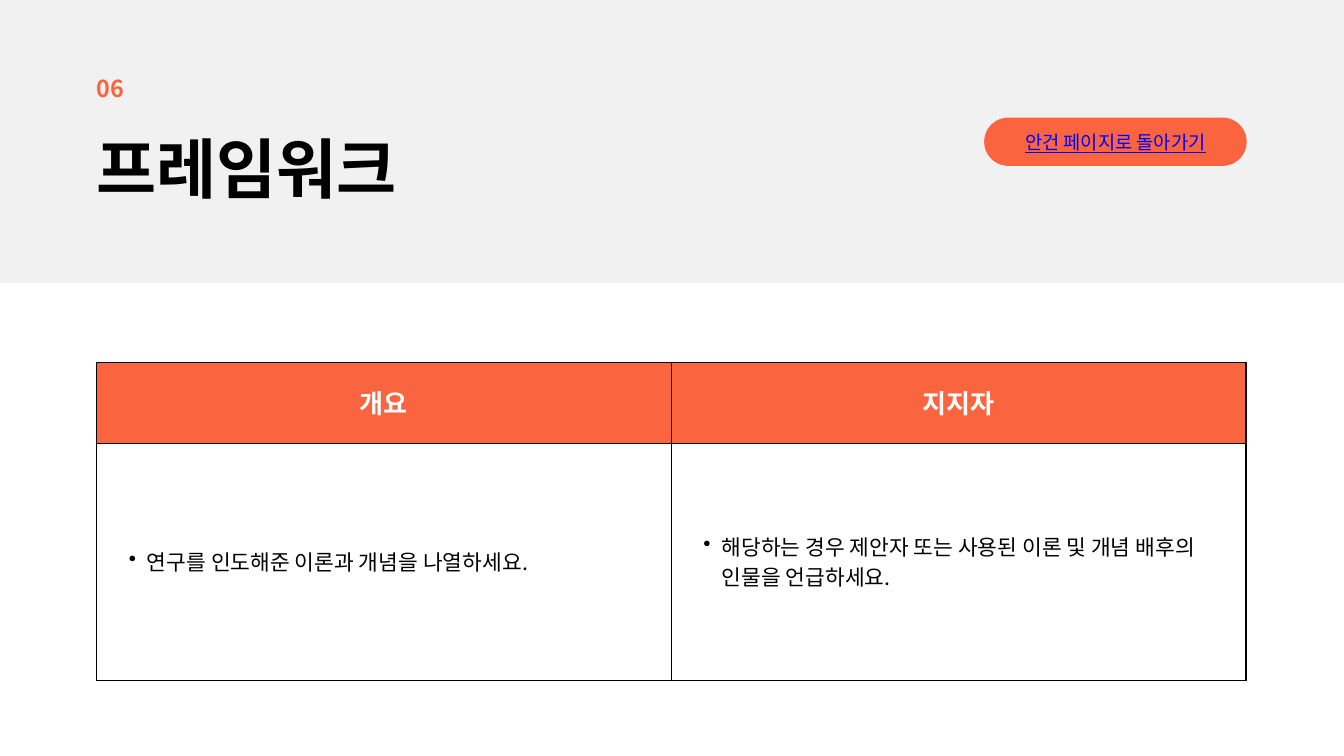
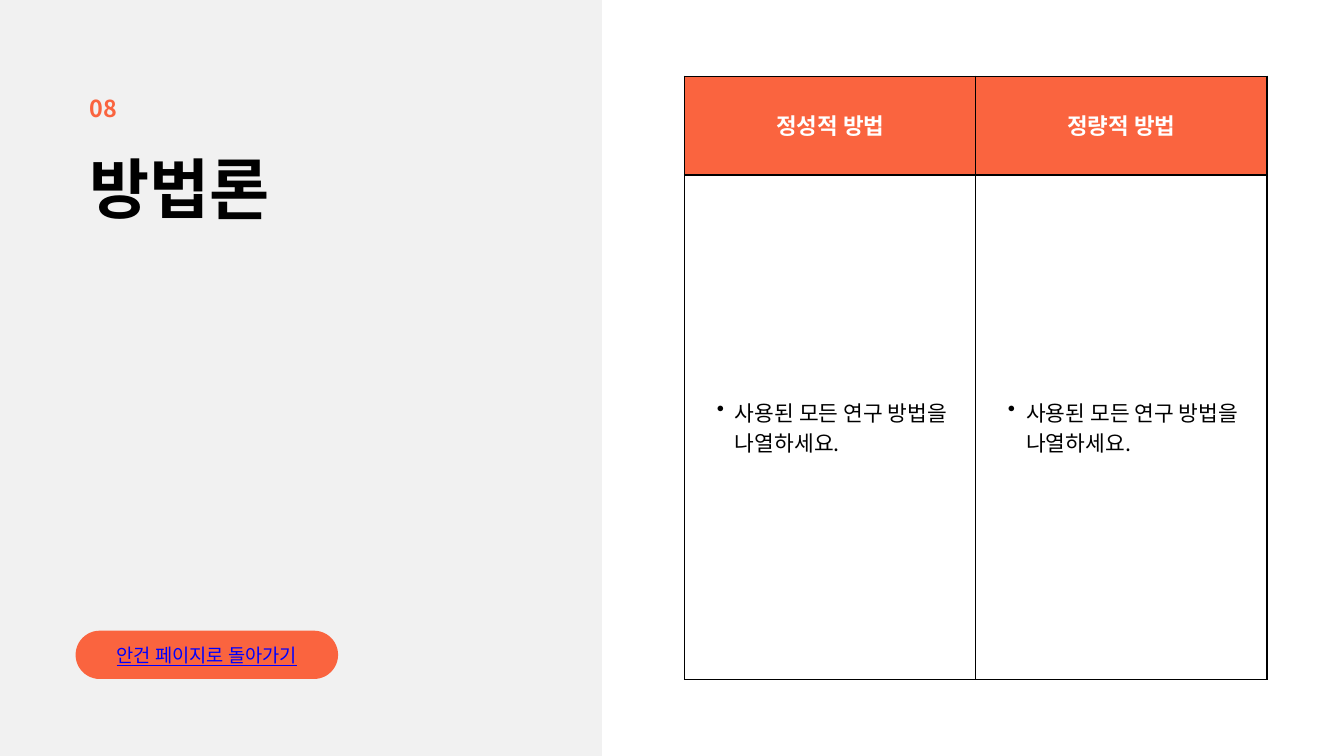
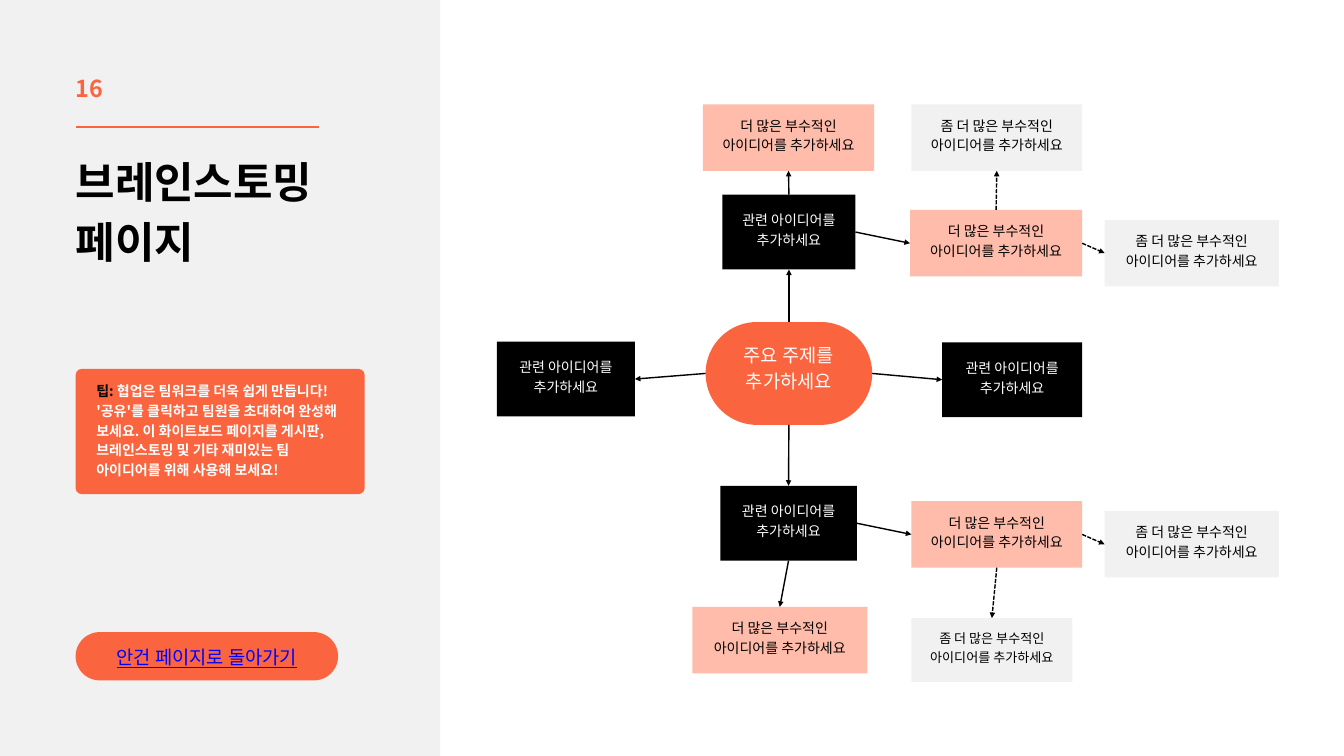
from lxml import etree
from pptx import Presentation
from pptx.dml.color import RGBColor
from pptx.enum.dml import MSO_LINE
from pptx.enum.shapes import MSO_CONNECTOR, MSO_SHAPE
from pptx.enum.text import MSO_ANCHOR, MSO_AUTO_SIZE, PP_ALIGN
from pptx.oxml.ns import qn
from pptx.util import Emu, Pt

RECT, ROUND = MSO_SHAPE.RECTANGLE, MSO_SHAPE.ROUNDED_RECTANGLE
WIRE = MSO_CONNECTOR.STRAIGHT
DASH, SOLID = MSO_LINE.SQUARE_DOT, MSO_LINE.SOLID
TOP, MID = MSO_ANCHOR.TOP, MSO_ANCHOR.MIDDLE
LEFT, MIDST = PP_ALIGN.LEFT, PP_ALIGN.CENTER
FIXED = MSO_AUTO_SIZE.NONE

BLACK = RGBColor(0x00, 0x00, 0x00)
WHITE = RGBColor(0xFF, 0xFF, 0xFF)
GRAY = RGBColor(0xF1, 0xF1, 0xF1)
CORAL = RGBColor(0xFA, 0x64, 0x3F)
PINK = RGBColor(0xFF, 0xBC, 0xAB)
BLUE = RGBColor(0x00, 0x00, 0xFF)

FACE = "Noto Sans CJK KR"
PX = Emu(9525)
WIDE, HIGH = 1920, 1080


def write(frame, lines, ink, size, lead, align=LEFT, anchor=TOP, pad=(0, 0, 0, 0), **style):
    sides = ("margin_left", "margin_top", "margin_right", "margin_bottom")
    look = {"word_wrap": True, "auto_size": FIXED, "vertical_anchor": anchor}
    look.update({side: gap * PX for side, gap in zip(sides, pad)})
    for key, value in look.items():
        setattr(frame, key, value)
    for row, line in enumerate(lines):
        para = frame.add_paragraph() if row else frame.paragraphs[0]
        para.alignment = align
        para.line_spacing = Pt(lead)
        for part in [line] if isinstance(line, str) else line:
            run = para.add_run()
            run.text = part
            for key, value in {"name": FACE, "size": Pt(size), **style}.items():
                setattr(run.font, key, value)
            run.font.color.rgb = ink
            etree.SubElement(run.font._element, qn("a:ea"), typeface=FACE)


def block(slide, kind, spot, fill, bend=0.5):
    shape = slide.shapes.add_shape(kind, *(n * PX for n in spot))
    shape.shadow.inherit = False
    shape.fill.solid()
    shape.fill.fore_color.rgb = fill
    shape.line.fill.background()
    if kind == ROUND:
        shape.adjustments[0] = bend
    return shape


deck = Presentation()
deck.slide_width, deck.slide_height = WIDE * PX, HIGH * PX

pages = [
    ("06", ["프레임워크"], 70, 84, (WIDE, 404), (138, 110), (138, 183, 651, 111), (1406, 168)),
    ("08", ["방법론"], 70, 84, (860, HIGH), (128, 138), (128, 212, 679, 111), (108, 901)),
    ("16", ["브레인스토밍", "페이지"], 46, 64.4, (629, HIGH), (108, 110), (108, 210, 348, 165), (108, 903)),
]
slides = []
for mark, lines, size, lead, band, spot, area, pill in pages:
    slide = deck.slides.add_slide(deck.slide_layouts[5])
    slides.append(slide)
    title = slide.shapes.title
    for key, value in zip(("left", "top", "width", "height"), area):
        setattr(title, key, value * PX)
    write(title.text_frame, lines, BLACK, size, lead, bold=True)
    back = block(slide, RECT, (0, 0, *band), GRAY)
    title.element.addprevious(back.element)
    label = slide.shapes.add_textbox(*(n * PX for n in (*spot, 92, 38)))
    write(label.text_frame, [mark], CORAL, 25, 27.5, bold=True)
    button = block(slide, ROUND, (*pill, 375, 69), CORAL)
    write(button.text_frame, ["안건 페이지로 돌아가기"], BLUE, 20, 28, MIDST, MID,
          (0, 0, 0, 4), underline=True)

tables = [
    (slides[0], (138, 518), 821, (116, 338), 28, 39.2,
     ("개요", "지지자"),
     ("연구를 인도해준 이론과 개념을 나열하세요.",
      "해당하는 경우 제안자 또는 사용된 이론 및 개념 배후의 인물을 언급하세요.")),
    (slides[1], (978, 109), 416, (141, 721), 24, 33.6,
     ("정성적 방법", "정량적 방법"),
     ("사용된 모든 연구 방법을 나열하세요.",) * 2),
]
for slide, spot, width, rows, size, lead, heads, notes in tables:
    area = (*spot, 2 * width, sum(rows))
    grid = slide.shapes.add_table(2, 2, *(n * PX for n in area)).table
    grid.first_row = grid.horz_banding = False
    for row, height in enumerate(rows):
        grid.rows[row].height = height * PX
        for col in range(2):
            grid.columns[col].width = width * PX
            cell = grid.cell(row, col)
            frame = cell.text_frame
            if row:
                write(frame, [notes[col]], BLACK, 23, 32.2, bold=False)
                para = frame.paragraphs[0]
                para.level = 1
                props = para._p.get_or_add_pPr()
                props.set("marL", str(52 * PX))
                props.set("indent", str(-26 * PX))
                etree.SubElement(props, qn("a:buChar"), char="•")
                cell.fill.background()
            else:
                write(frame, [heads[col]], WHITE, size, lead, MIDST, bold=True)
                cell.fill.solid()
                cell.fill.fore_color.rgb = CORAL
            cell.vertical_anchor = MID
            for side in ("left", "top", "right", "bottom"):
                setattr(cell, "margin_" + side, 20 * PX)
            props = cell._tc.get_or_add_tcPr()
            for place, side in enumerate("LRTB"):
                edge = etree.Element(qn("a:ln" + side), w=str(Pt(1.5)))
                paint = etree.SubElement(edge, qn("a:solidFill"))
                etree.SubElement(paint, qn("a:srgbClr"), val=str(BLACK))
                props.insert(place, edge)

board = slides[2]
tip = block(board, ROUND, (108, 527, 413, 179), CORAL, 0.05)
write(tip.text_frame, [
    ("팁: ", "협업은 팀워크를 더욱 쉽게 만듭니다!"),
    "'공유'를 클릭하고 팀원을 초대하여 완성해",
    "보세요. 이 화이트보드 페이지를 게시판,",
    "브레인스토밍 및 기타 재미있는 팀",
    "아이디어를 위해 사용해 보세요!",
], WHITE, 15, 21, LEFT, MID, (27, 0, 0, 7), bold=True)
tip.text_frame.paragraphs[0].runs[0].font.color.rgb = BLACK

kinds = {
    "main": (ROUND, CORAL, WHITE, ["주요 주제를", "추가하세요"], 20),
    "idea": (RECT, BLACK, WHITE, ["관련 아이디어를", "추가하세요"], 10),
    "more": (RECT, PINK, BLACK, ["더 많은 부수적인", "아이디어를 추가하세요"], 10),
    "extra": (RECT, GRAY, BLACK, ["좀 더 많은 부수적인", "아이디어를 추가하세요"], 10),
}
nodes = [
    ("hub", "main", (1008, 460, 238, 147), 20),
    ("west", "idea", (710, 488, 197, 107), 15),
    ("north", "idea", (1032, 278, 190, 107), 15),
    ("south", "idea", (1029, 694, 195, 107), 15),
    ("east", "idea", (1346, 489, 200, 107), 15),
    ("upper", "more", (1004, 149, 245, 95), 15),
    ("high", "more", (1300, 300, 246, 95), 15),
    ("low", "more", (1302, 716, 244, 95), 15),
    ("under", "more", (989, 867, 250, 95), 15),
    ("high top", "extra", (1302, 149, 244, 95), 15),
    ("high side", "extra", (1578, 314, 249, 95), 15),
    ("low side", "extra", (1578, 730, 249, 95), 15),
    ("low end", "extra", (1302, 883, 230, 91), 14),
]
cards = {}
for name, kind, spot, size in nodes:
    form, fill, ink, lines, lift = kinds[kind]
    cards[name] = block(board, form, spot, fill)
    write(cards[name].text_frame, lines, ink, size, size * 1.4, MIDST, MID, (0, 0, 0, lift))

UP, BACK, DOWN, NEXT = range(4)
links = [
    ("hub", BACK, "west", SOLID),
    ("hub", UP, "north", SOLID),
    ("hub", DOWN, "south", SOLID),
    ("hub", NEXT, "east", SOLID),
    ("north", UP, "upper", SOLID),
    ("north", NEXT, "high", SOLID),
    ("south", NEXT, "low", SOLID),
    ("south", DOWN, "under", SOLID),
    ("high", UP, "high top", DASH),
    ("high", NEXT, "high side", DASH),
    ("low", NEXT, "low side", DASH),
    ("low", DOWN, "low end", DASH),
]
rule = board.shapes.add_connector(WIRE, *(n * PX for n in (108, 181, 456, 181)))
wires = [(rule, CORAL, 2, SOLID)]
for start, site, end, dash in links:
    wire = board.shapes.add_connector(WIRE, 0, 0, 0, 0)
    wire.begin_connect(cards[start], site)
    wire.end_connect(cards[end], (site + 2) % 4)
    wires.append((wire, BLACK, 1.5, dash))
for wire, ink, width, dash in wires:
    wire.line.color.rgb = ink
    wire.line.width = Pt(width)
    wire.line.dash_style = dash
    if wire is not rule:
        etree.SubElement(wire.line._get_or_add_ln(), qn("a:tailEnd"), type="triangle")
    etree.SubElement(wire.element.spPr, qn("a:effectLst"))

deck.save("out.pptx")
